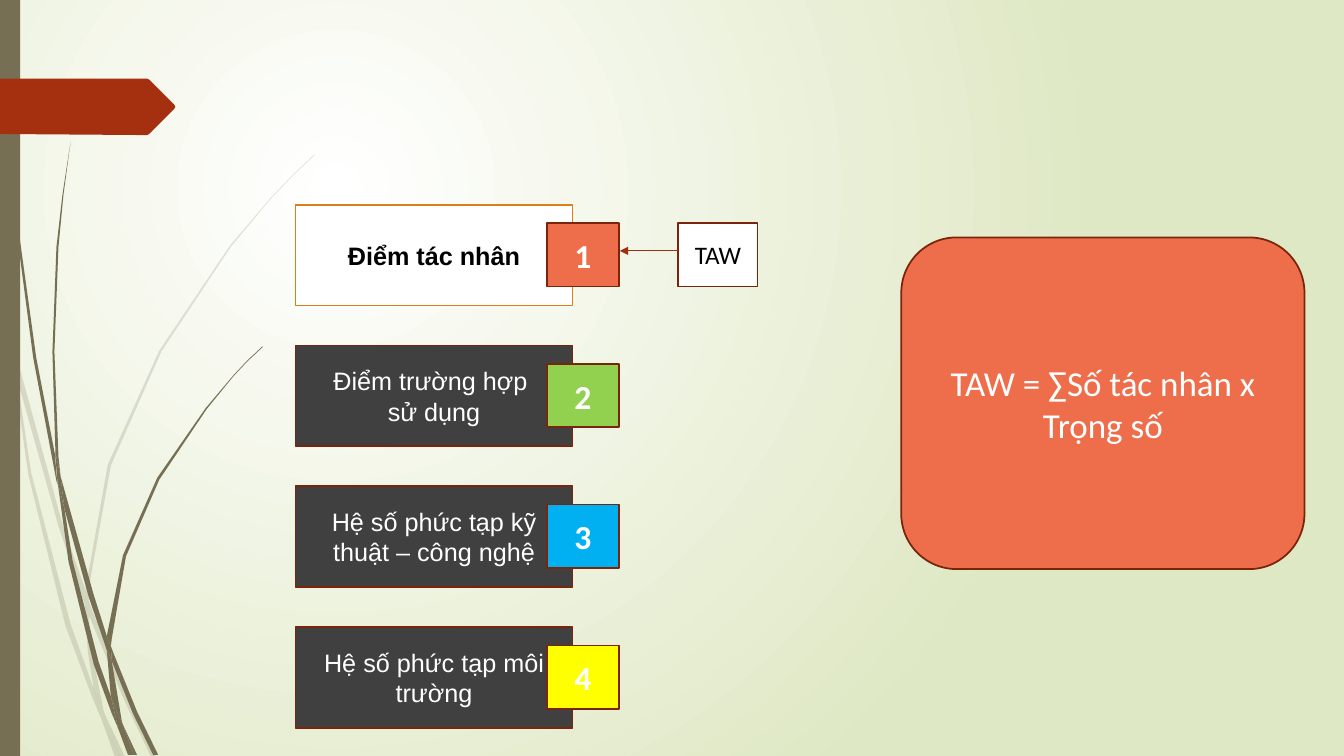
"""Build the slide on weighted actor scores (TAW) with its wisp decoration."""
from lxml import etree
from pptx import Presentation
from pptx import util as u
from pptx.dml.color import RGBColor
from pptx.enum import shapes, text
from pptx.oxml import ns

COLOURS = {
    "white": "FFFFFF", "black": "000000", "pale green": "DFE8C4", "olive": "766F54",
    "rust": "A53010", "dark rust": "7A240C", "arrow": "9E2E0F", "charcoal": "404040",
    "amber": "DE7E18", "coral": "EE6E4B", "green": "92D050", "blue": "00B0F0",
    "yellow": "FFFF00",
}
HUNDREDTH_INCH = u.Pt(0.72)
FAINT_WISPS = [
    "11,350 9,322 0,282 0,299 10,344",
    "58,522 84,599 85,586 62,520 14,345 17,376",
    "92,607 88,596 88,610 123,694 150,751 155,751 127,692",
    "119,751 124,751 105,711",
    "93,683 70,619 31,469 17,376 11,350 28,470 65,621 92,693 101,714 99,707",
    "84,599 87,646 93,683 96,692 105,711 103,706 91,646 88,610 88,608",
    "88,584 110,462 160,349 229,245 268,198 290,175 312,154 312,153 289,175 268,197 "
    "228,244 158,348 107,461 85,584 85,586 88,596",
    "101,714 114,751 119,751",
    "88,608 88,610 88,596 85,586 84,599",
    "96,692 93,683 99,707 101,714 119,751 105,711",
]
STRONG_WISPS = [
    "7,110 17,233 33,355 56,477 57,481 55,457 55,453 36,355 19,232 8,109 5,48 4,0 3,0 4,48",
    "88,592 106,645 106,633 106,631 93,590 60,472 64,505",
    "113,649 110,641 111,656 132,708 152,749 157,749 136,706",
    "110,691 98,657 72,556 64,505 57,477 68,557 93,659 111,708 117,722 116,717",
    "60,472 58,453 54,349 58,245 63,193 70,141 62,193 56,245 52,349 55,449",
    "133,749 136,749 122,719",
    "57,477 64,505 60,472 55,449 55,453",
    "111,633 125,552 158,476 205,406 231,374 245,359 261,344 260,344 245,358 231,373 "
    "204,405 156,474 122,551 106,631 110,641",
    "117,722 127,749 131,749",
    "106,645 110,691 116,706 122,719 121,716 111,656 109,651",
    "106,645 109,651 111,656 110,641 106,631 106,633",
    "116,706 110,691 116,717 117,722 130,749 133,749 122,719",
]
BANNER = "173,108 148,133 146,134 136,134 0,133 0,78 136,78 146,78 148,79 173,104 174,106"
ROWS = [
    ("Điểm tác nhân", "white", "amber", "black", True, "coral"),
    ("Điểm trường hợp \nsử dụng", "charcoal", "dark rust", "white", False, "green"),
    ("Hệ số phức tạp kỹ thuật – công nghệ", "charcoal", "dark rust", "white", False, "blue"),
    ("Hệ số phức tạp môi trường", "charcoal", "dark rust", "white", False, "yellow"),
]
ROW_TOP, ROW_STEP, BADGE_DROP = 146.2, 100.6, 13


def add_outline(parent, outline, colour):
    """Draw a closed, unlined shape from points in hundredths of an inch."""
    points = [tuple(map(int, pair.split(","))) for pair in outline.split()]
    builder = parent.shapes.build_freeform(*points[0], scale=HUNDREDTH_INCH)
    builder.add_line_segments(points[1:], close=True)
    shape = builder.convert_to_shape()
    shape.shadow.inherit = False
    shape.fill.solid()
    shape.fill.fore_color.rgb = RGBColor.from_string(COLOURS[colour])
    shape.line.fill.background()
    return shape


def add_box(kind, place, label, fill, line, ink, font_values):
    """Add a filled, outlined shape with centred text."""
    shape = slide.shapes.add_shape(kind, *map(u.Pt, place))
    shape.shadow.inherit = False
    shape.fill.solid()
    shape.fill.fore_color.rgb = RGBColor.from_string(COLOURS[fill])
    shape.line.color.rgb = RGBColor.from_string(COLOURS[line])
    shape.line.width = u.Pt(1.25)
    shape.text_frame.text = label
    shape.text_frame.word_wrap = True
    shape.text_frame.vertical_anchor = text.MSO_ANCHOR.MIDDLE
    for paragraph in shape.text_frame.paragraphs:
        paragraph.alignment = text.PP_ALIGN.CENTER
        for run in paragraph.runs:
            run.font.color.rgb = RGBColor.from_string(COLOURS[ink])
            for name, value in font_values.items():
                setattr(run.font, name, value)


presentation = Presentation()
presentation.slide_width, presentation.slide_height = u.Pt(960), u.Pt(540)
slide = presentation.slides.add_slide(presentation.slide_layouts[6])

background = slide.background.fill
background.gradient()
for stop, colour, position in zip(background.gradient_stops, ("white", "pale green"), (0, 1)):
    stop.color.rgb = RGBColor.from_string(COLOURS[colour])
    stop.position = position
gradient = next(slide.element.iter(ns.qn("a:gradFill")))
gradient.remove(gradient.find(ns.qn("a:lin")))
circle = etree.Element(ns.qn("a:path"), path="circle")
etree.SubElement(circle, ns.qn("a:fillToRect"), l="50000", t="50000", r="100000", b="100000")
gradient.find(ns.qn("a:gsLst")).addnext(circle)

for wisps, opacity in ((FAINT_WISPS, 20), (STRONG_WISPS, 100)):
    group = slide.shapes.add_group_shape()
    for outline in wisps:
        wisp = add_outline(group, outline, "olive")
        if opacity < 100:
            tint = next(wisp.element.spPr.iter(ns.qn("a:srgbClr")))
            etree.SubElement(tint, ns.qn("a:alpha"), val=str(opacity * 1000))

side_bar = slide.shapes.add_shape(shapes.MSO_SHAPE.RECTANGLE, 0, 0, u.Pt(14.4), u.Pt(540))
side_bar.shadow.inherit = False
side_bar.fill.solid()
side_bar.fill.fore_color.rgb = RGBColor.from_string(COLOURS["olive"])
side_bar.line.fill.background()
add_outline(slide, BANNER, "rust")

rectangle = shapes.MSO_SHAPE.RECTANGLE
for index, (label, fill, line, ink, bold, badge_fill) in enumerate(ROWS):
    top = ROW_TOP + index * ROW_STEP
    add_box(rectangle, (211, top, 198, 72), label, fill, line, ink,
            {"name": "Arial", "size": u.Pt(18), "bold": bold})
    add_box(rectangle, (390.6, top + BADGE_DROP, 51.4, 45.5), str(index + 1),
            badge_fill, "dark rust", "white",
            {"name": "Calibri", "size": u.Pt(24), "bold": True})

add_box(shapes.MSO_SHAPE.ROUNDED_RECTANGLE, (643.8, 169.6, 288, 236.9),
        "TAW = ∑Số tác nhân x Trọng số", "coral", "dark rust", "white",
        {"name": "Calibri", "size": u.Pt(25)})
add_box(rectangle, (484.4, ROW_TOP + BADGE_DROP, 56.8, 45.5), "TAW",
        "white", "dark rust", "black", {"name": "Calibri", "size": u.Pt(18)})

arrow = slide.shapes.add_connector(
    shapes.MSO_CONNECTOR.STRAIGHT, u.Pt(484.4), u.Pt(179.2), u.Pt(442.8), u.Pt(179.2))
arrow.line.color.rgb = RGBColor.from_string(COLOURS["arrow"])
arrow.line.width = u.Pt(0.75)
etree.SubElement(arrow.line._get_or_add_ln(), ns.qn("a:tailEnd"), type="triangle")
etree.SubElement(arrow.element.spPr, ns.qn("a:effectLst"))

presentation.save("out.pptx")
